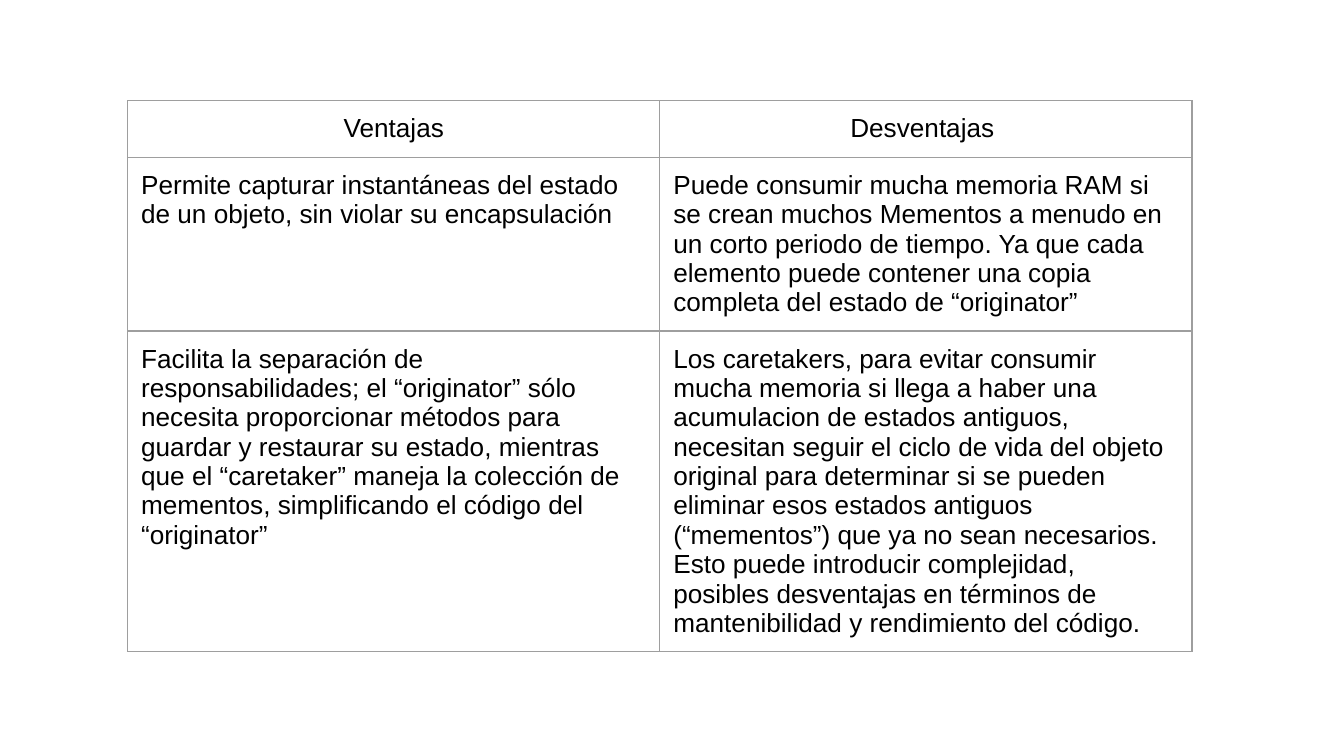
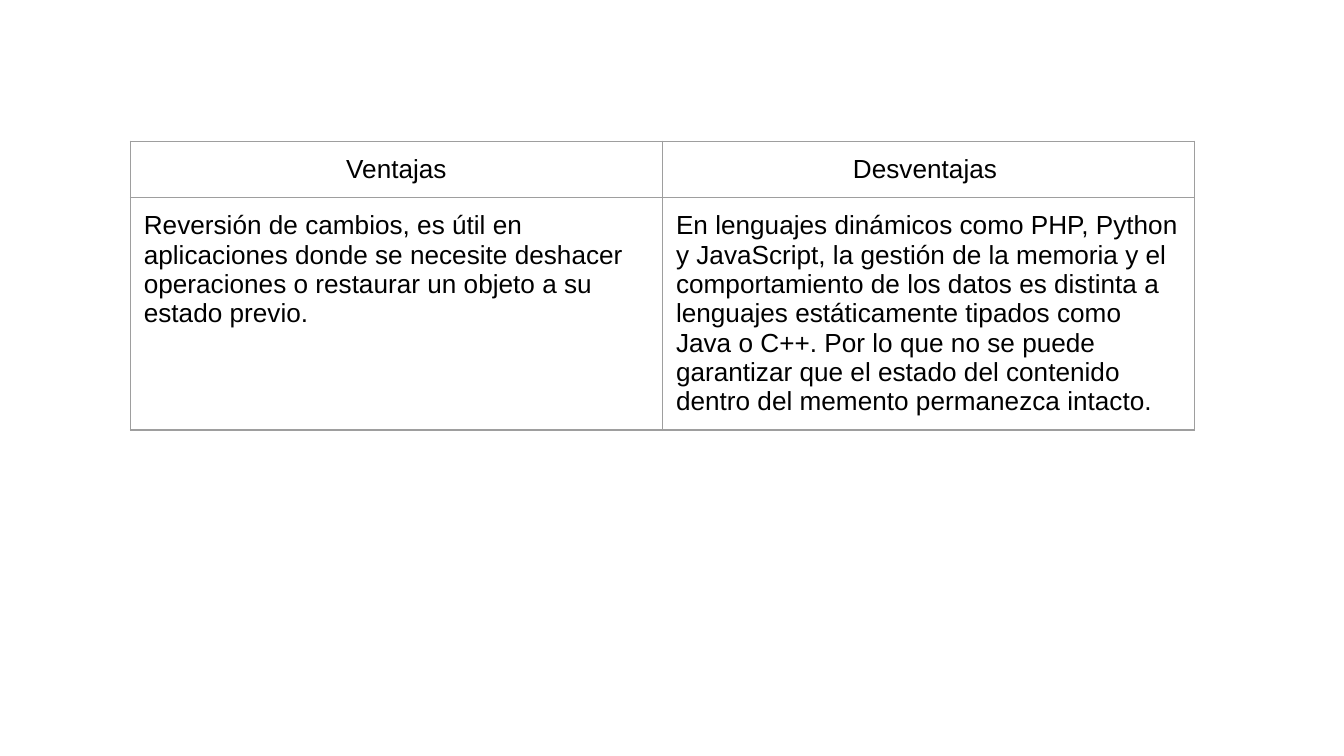
from dataclasses import dataclass

from lxml import etree
from pptx import Presentation
from pptx.dml.color import RGBColor
from pptx.enum.text import PP_ALIGN
from pptx.oxml.ns import qn
from pptx.util import Inches, Pt

CENTER, LEFT = PP_ALIGN.CENTER, PP_ALIGN.LEFT
BLANK_LAYOUT = 6


@dataclass(frozen=True)
class Theme:
    font: str = "Arial"
    text_size: float = 14
    text_color: str = "000000"
    border_color: str = "9E9E9E"
    border_width: float = 0.75
    column_width: float = 3.96
    row_height: float = 0.42
    cell_margin: float = 0.1


THEME = Theme()
HEADERS = ("Ventajas", "Desventajas ")

# Each slide: left and top of its table, then its body rows.
# A line break inside a cell starts a new paragraph.
COMPARISONS = [
    (0.95, 0.75, [
        ("Permite capturar instantáneas del estado de un objeto, sin violar su "
         "encapsulación",
         "Puede consumir mucha memoria RAM si se crean muchos Mementos a menudo en "
         "un corto periodo de tiempo. Ya que cada elemento puede contener una copia "
         "completa del estado de “originator”"),
        ("Facilita la separación de responsabilidades; el “originator” sólo necesita "
         "proporcionar métodos para guardar y restaurar su estado, mientras que el "
         "“caretaker” maneja la colección de mementos, simplificando el código del "
         "“originator”",
         "Los caretakers, para evitar consumir mucha memoria si llega a haber una "
         "acumulacion de estados antiguos, necesitan seguir el ciclo de vida del "
         "objeto original para determinar si se pueden eliminar esos estados "
         "antiguos (“mementos”) que ya no sean necesarios.\n"
         "Esto puede introducir complejidad, posibles desventajas en términos de "
         "mantenibilidad y rendimiento del código."),
    ]),
    (0.97, 1.05, [
        ("Reversión de cambios, es útil en aplicaciones donde se necesite deshacer "
         "operaciones o restaurar un objeto a su estado previo.",
         "En lenguajes dinámicos como PHP, Python y JavaScript, la gestión de la "
         "memoria y el comportamiento de los datos es distinta a lenguajes "
         "estáticamente tipados como Java o C++. Por lo que no se puede garantizar "
         "que el estado del contenido dentro del memento permanezca intacto."),
    ]),
]


def add_borders(cell):
    """Draw all four sides; the schema wants the lines before the cell's fill."""
    properties = cell._tc.get_or_add_tcPr()
    for position, side in enumerate(("a:lnL", "a:lnR", "a:lnT", "a:lnB")):
        line = etree.Element(qn(side), w=str(Pt(THEME.border_width)))
        fill = etree.SubElement(line, qn("a:solidFill"))
        etree.SubElement(fill, qn("a:srgbClr"), val=THEME.border_color)
        properties.insert(position, line)


def format_cell(cell, text, alignment):
    cell.text = text
    cell.fill.background()
    cell.margin_left = cell.margin_right = Inches(THEME.cell_margin)
    cell.margin_top = cell.margin_bottom = Inches(THEME.cell_margin)
    for paragraph in cell.text_frame.paragraphs:
        paragraph.alignment = alignment
        paragraph.font.name = THEME.font
        paragraph.font.size = Pt(THEME.text_size)
        paragraph.font.bold = False
        paragraph.font.color.rgb = RGBColor.from_string(THEME.text_color)
    add_borders(cell)


presentation = Presentation()
presentation.slide_width = Inches(10)
presentation.slide_height = presentation.slide_width * 9 // 16

for left, top, body_rows in COMPARISONS:
    slide = presentation.slides.add_slide(presentation.slide_layouts[BLANK_LAYOUT])
    rows = [HEADERS, *body_rows]
    table = slide.shapes.add_table(
        len(rows), len(HEADERS), Inches(left), Inches(top),
        Inches(THEME.column_width * len(HEADERS)),
        Inches(THEME.row_height * len(rows)),
    ).table
    table.first_row = False
    table.horz_banding = False
    for row_index, row in enumerate(rows):
        for column_index, text in enumerate(row):
            alignment = CENTER if row_index == 0 else LEFT
            format_cell(table.cell(row_index, column_index), text, alignment)

presentation.save("out.pptx")
